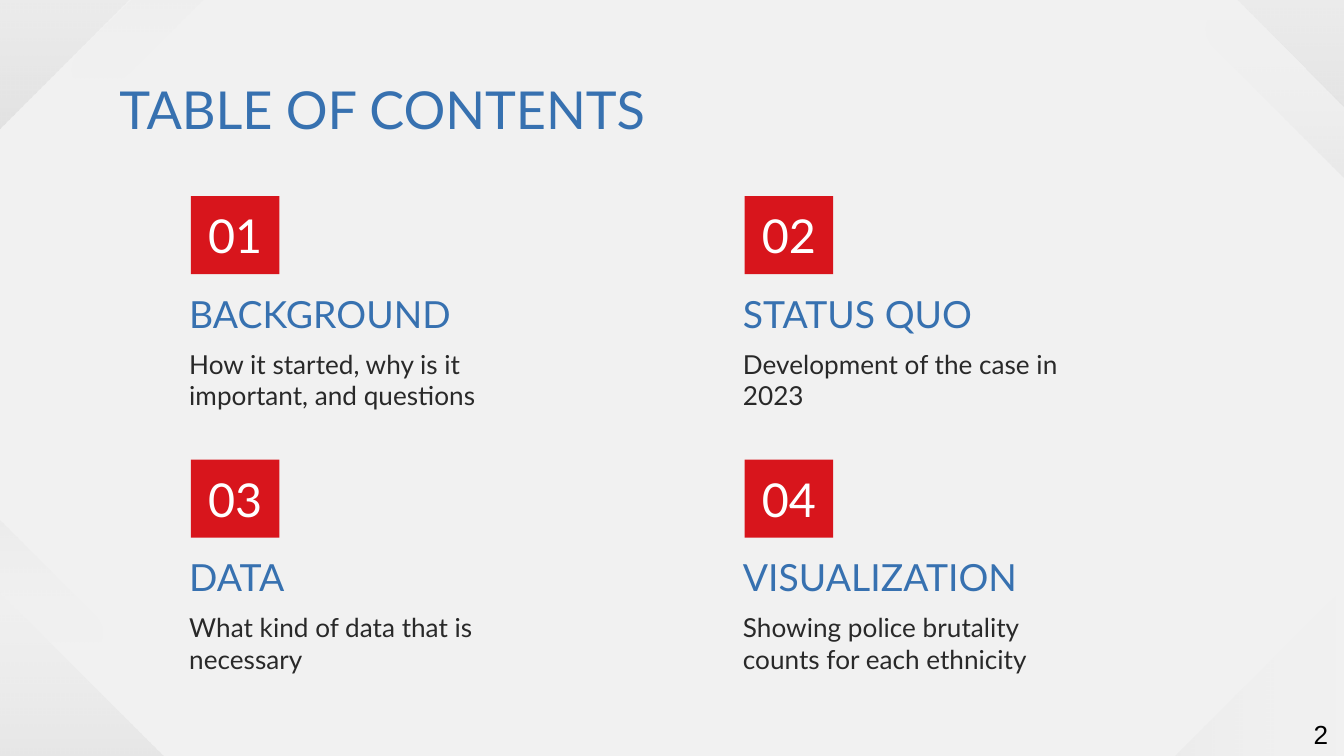
from dataclasses import dataclass
from math import cos, pi, sin

from lxml import etree
from pptx import Presentation
from pptx.dml.color import RGBColor
from pptx.enum import shapes, text
from pptx.oxml.ns import qn
from pptx.util import Inches, Pt


@dataclass(frozen=True)
class Theme:
    background = RGBColor.from_string("F1F1F1")
    blue = RGBColor.from_string("3771B0")
    red = RGBColor.from_string("D8151C")
    ink = RGBColor.from_string("292929")
    white = RGBColor.from_string("FFFFFF")
    black = RGBColor.from_string("000000")
    font = "Lato"
    number_font = "Arial"
    title_size = 28
    badge_size = 25
    heading_size = 20
    body_size = 14


THEME = Theme()

# left, top, size, mirrored, gradient angle
CORNER_BANDS = [
    (7.81, 4.25, 2.3, True, 180),
    (-1.6, -1.61, 2.6, True, 90),
    (-0.7, 3.71, 2.3, False, 90),
    (9.2, -1.57, 2.6, False, 90),
]

# centres of the two round ends, gradient angle
STRIPES = [
    ((2.05, -0.81), (0.72, 0.51), 270),
    ((-0.75, 3.39), (0.57, 4.71), 270),
    ((9.16, 0.22), (10.48, 1.54), 90),
]

TOPICS = [
    ("BACKGROUND", "How it started, why is it important, and questions"),
    ("STATUS QUO", "Development of the case in 2023"),
    ("DATA", "What kind of data that is necessary"),
    ("VISUALIZATION", "Showing police brutality counts for each ethnicity"),
]


def write(shape, words, size, color, font=THEME.font,
          align=text.PP_ALIGN.LEFT):
    frame = shape.text_frame
    frame.word_wrap = True
    frame.vertical_anchor = text.MSO_ANCHOR.MIDDLE
    frame.margin_left = frame.margin_right = Inches(0.1)
    frame.margin_top = frame.margin_bottom = Inches(0.1)
    para = frame.paragraphs[0]
    para.text = words
    para.alignment = align
    para.font.name = font
    para.font.size = Pt(size)
    para.font.color.rgb = color


def add_text(page, box, words, size, color, **options):
    shape = page.shapes.add_textbox(*map(Inches, box))
    write(shape, words, size, color, **options)


def add_veil(page, points, angle):
    """Draw an outline that fades from clear to faint ink, angle clockwise."""
    corners = [(Inches(x), Inches(y)) for x, y in points]
    builder = page.shapes.build_freeform(*corners[0])
    builder.add_line_segments(corners[1:], close=True)
    shape = builder.convert_to_shape()
    shape.shadow.inherit = False
    shape.line.fill.background()
    shape.fill.gradient()
    shape.fill.gradient_angle = 360 - angle
    stops = shape.fill.gradient_stops
    for stop, color, position in zip(stops, (THEME.white, THEME.ink), (0, 1)):
        stop.color.rgb = color
        stop.position = position
    tints = shape._element.spPr.iter(qn("a:srgbClr"))
    for tint, opacity in zip(list(tints), (0, 8000)):
        etree.SubElement(tint, qn("a:alpha")).set("val", str(opacity))


def add_corner_band(page, left, top, size, mirrored, angle):
    outline = [(0, 0), (1, 1), (0.4, 1), (0, 0.6)]
    points = [(left + size * (1 - x if mirrored else x), top + size * y)
              for x, y in outline]
    add_veil(page, points, angle)


def add_stripe(page, start, end, angle, radius=0.19, steps=12):
    """Draw a diagonal stripe with round ends."""
    slope = pi / 4 if end[0] > start[0] else 3 * pi / 4
    points = []
    for (x, y), first in ((start, slope + pi / 2), (end, slope - pi / 2)):
        for step in range(steps + 1):
            turn = first + pi * step / steps
            points.append((x + radius * cos(turn), y + radius * sin(turn)))
    add_veil(page, points, angle)


def add_backdrop(page):
    page.background.fill.solid()
    page.background.fill.fore_color.rgb = THEME.background
    for band in CORNER_BANDS:
        add_corner_band(page, *band)
    for stripe in STRIPES:
        add_stripe(page, *stripe)


def add_topic(page, left, top, number, heading, summary):
    add_text(page, (left, top + 0.58, 3.26, 0.58), heading,
             THEME.heading_size, THEME.blue)
    badge = page.shapes.add_shape(
        shapes.MSO_SHAPE.RECTANGLE,
        *map(Inches, (left + 0.11, top, 0.66, 0.58)))
    badge.shadow.inherit = False
    badge.fill.solid()
    badge.fill.fore_color.rgb = THEME.red
    badge.line.fill.background()
    write(badge, f"{number:02}", THEME.badge_size, THEME.white,
          align=text.PP_ALIGN.CENTER)
    add_text(page, (left, top + 1.1, 2.56, 0.53), summary,
             THEME.body_size, THEME.ink)


def add_topics(page, left, top, column_step, row_step):
    for index, topic in enumerate(TOPICS):
        row, column = divmod(index, 2)
        add_topic(page, left + column * column_step, top + row * row_step,
                  index + 1, *topic)


def main():
    deck = Presentation()
    deck.slide_width = Inches(10)
    deck.slide_height = Inches(10 * 9 / 16)
    page = deck.slides.add_slide(deck.slide_layouts[6])
    add_backdrop(page)
    add_text(page, (9.34, 5.29, 0.64, 0.34), "2", THEME.body_size, THEME.black,
             font=THEME.number_font, align=text.PP_ALIGN.RIGHT)
    add_topics(page, left=1.31, top=1.46, column_step=4.12, row_step=1.96)
    add_text(page, (0.79, 0.49, 8.43, 0.63), "TABLE OF CONTENTS",
             THEME.title_size, THEME.blue)
    deck.save("out.pptx")


if __name__ == "__main__":
    main()
